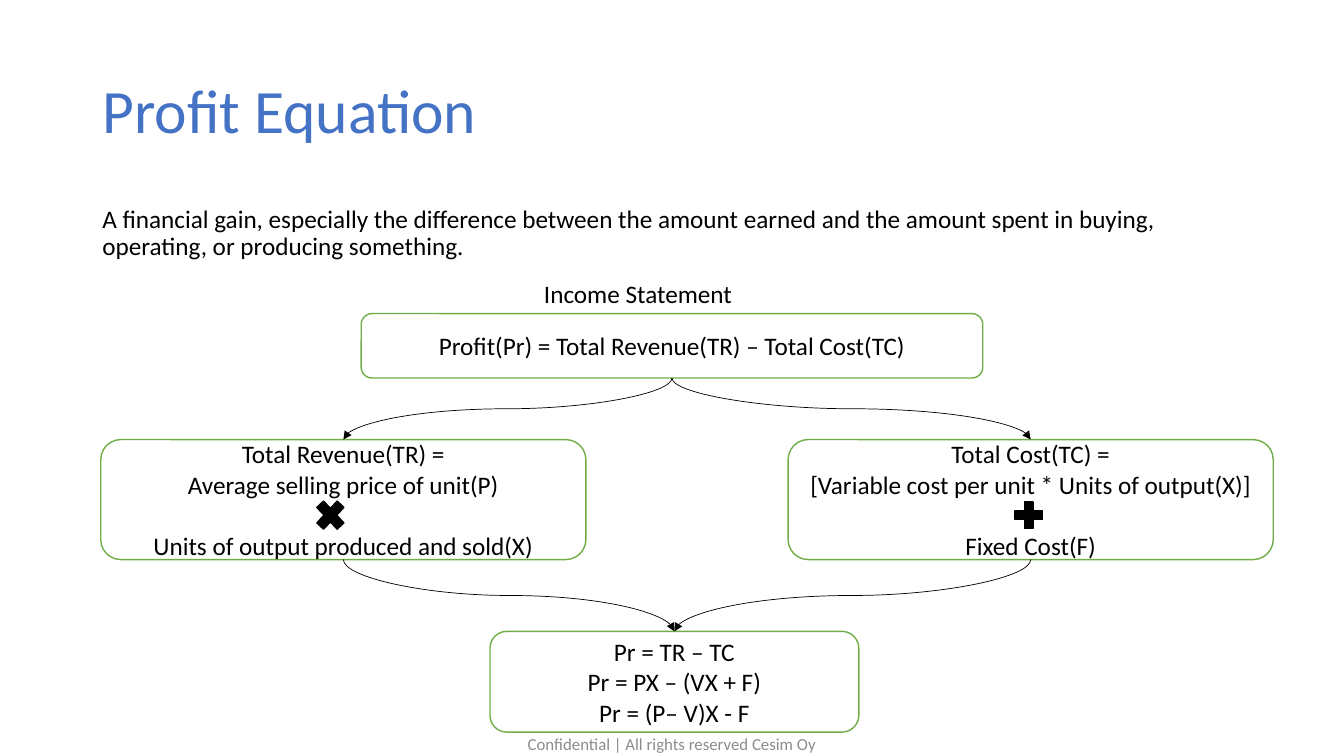
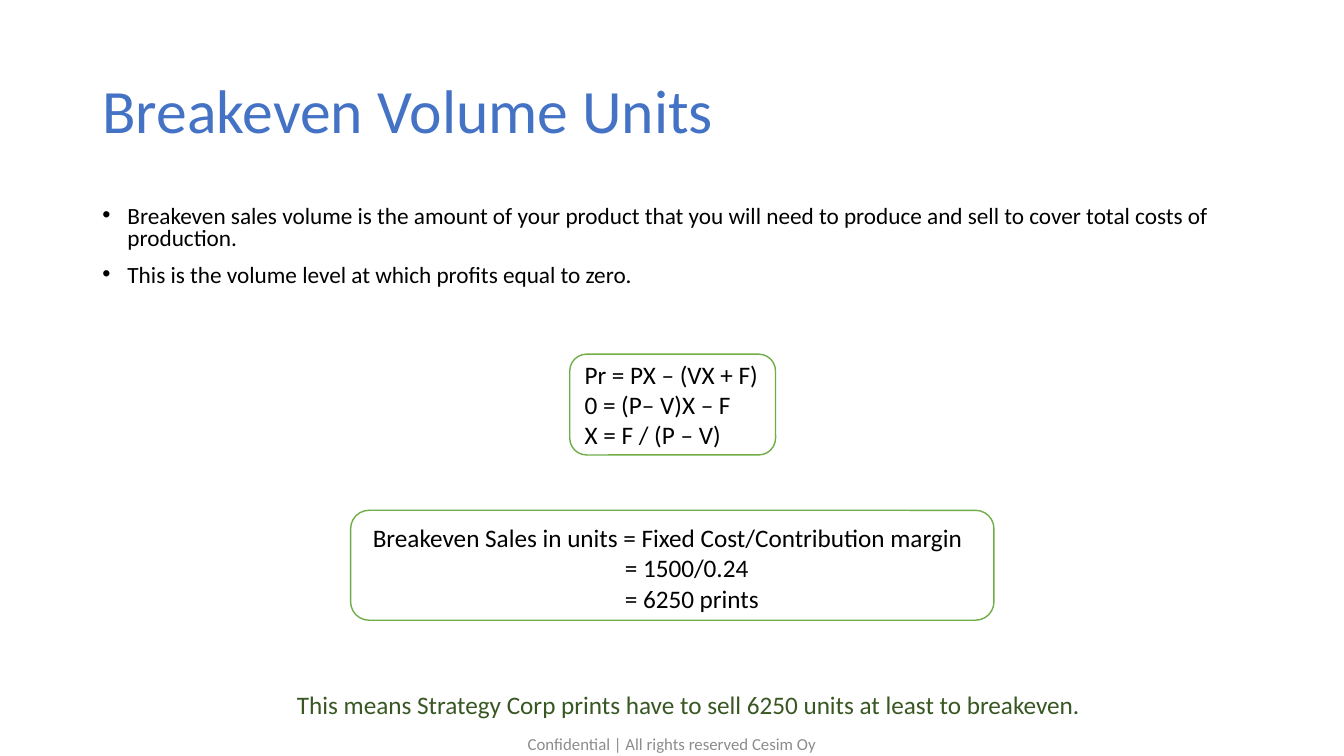
from lxml import etree
from pptx import Presentation
from pptx.dml.color import RGBColor
from pptx.enum import shapes, text
from pptx.oxml.ns import qn
from pptx.util import Pt

HEX = {"title": "4472C4", "text": "000000", "edge": "70AD47",
       "fill": "FFFFFF", "foot": "8C8C8C", "note": "385723"}
FONT = "Calibri"
KIND = shapes.MSO_SHAPE
LEFT, MID = text.PP_ALIGN.LEFT, text.PP_ALIGN.CENTER
TOP, HALF = text.MSO_ANCHOR.TOP, text.MSO_ANCHOR.MIDDLE

FOOT = "Confidential | All rights reserved Cesim Oy"
TITLE_AT = (66, 28.8, 828, 104.4)
FOOT_AT = (318, 522, 324, 18)

GAIN = ["A financial gain, especially the difference between the amount earned "
        "and the amount spent in buying, operating, or producing something."]
FLOW = {
    "profit": ((258, 224, 444, 46),
               ["Profit(Pr) = Total Revenue(TR) – Total Cost(TC)"]),
    "revenue": ((72, 314, 346.5, 85.7),
                ["Total Revenue(TR) =", "Average selling price of unit(P)",
                 "Units of output produced and sold(X)"]),
    "cost": ((563, 314, 346.5, 85.7),
             ["Total Cost(TC) =", "[Variable cost per unit * Units of output(X)]",
              "Fixed Cost(F)"]),
    "result": ((350, 451, 263.5, 72),
               ["Pr = TR – TC", "Pr = PX – (VX + F)", "Pr = (P– V)X - F"]),
}
LINKS = [("profit", "revenue"), ("profit", "cost"),
         ("revenue", "result"), ("cost", "result")]
SIGNS = [(KIND.MATH_MULTIPLY, (222, 353, 28, 30)),
         (KIND.MATH_PLUS, (721.5, 355, 26.5, 26))]
SIGN_GAP = 22

POINTS = ["Breakeven sales volume is the amount of your product that you will "
          "need to produce and sell to cover total costs of production.",
          "This is the volume level at which profits equal to zero."]
SOLVE = ["Pr = PX – (VX + F)", "0 = (P– V)X – F", "X = F / (P – V)"]
SALES = ["Breakeven Sales in units = Fixed Cost/Contribution margin",
         "= 1500/0.24", "= 6250 prints"]
NOTE = ["This means Strategy Corp prints have to sell 6250 units at least to breakeven."]


def rgb(name):
    return RGBColor.from_string(HEX[name])


def write(shape, lines, size=18, color="text", align=LEFT, anchor=TOP, pitch=None):
    frame = shape.text_frame
    frame.text = "\n".join(lines)
    frame.word_wrap = True
    frame.vertical_anchor = anchor
    for para in frame.paragraphs:
        para.alignment = align
        para.line_spacing = pitch
        for run in para.runs:
            run.font.name = FONT
            run.font.size = Pt(size)
            run.font.color.rgb = rgb(color)
    return frame


def indent(para, left, first=0):
    prop = para._p.get_or_add_pPr()
    prop.set("marL", str(Pt(left)))
    prop.set("indent", str(Pt(first)))
    return prop


def label(slide, at, lines, **style):
    return write(slide.shapes.add_textbox(*map(Pt, at)), lines, **style)


def shape(slide, kind, at, fill, edge):
    item = slide.shapes.add_shape(kind, *map(Pt, at))
    item.shadow.inherit = False
    item.fill.solid()
    item.fill.fore_color.rgb = rgb(fill)
    item.line.color.rgb = rgb(edge)
    item.line.width = Pt(1)
    return item


def box(slide, at, lines, align=LEFT, anchor=HALF):
    item = shape(slide, KIND.ROUNDED_RECTANGLE, at, "fill", "edge")
    write(item, lines, align=align, anchor=anchor)
    return item


def curve(slide, start, end):
    """Join bottom of start to top of end with a curve that leaves downwards."""
    line = slide.shapes.add_connector(shapes.MSO_CONNECTOR.CURVE, 0, 0, 0, 0)
    line.begin_connect(start, 2)
    line.end_connect(end, 0)
    x, y = line.begin_x, line.begin_y
    dx, dy = line.end_x - x, line.end_y - y
    line.left = int(x + dx / 2 - dy / 2)
    line.top = int(y + dy / 2 - abs(dx) / 2)
    line.width, line.height = dy, abs(dx)
    prop = line._element.spPr
    form = prop.find(qn("a:xfrm"))
    form.set("rot", str((270 if dx > 0 else 90) * 60000))
    form.set("flipH", "1" if dx > 0 else "0")
    line.line.color.rgb = rgb("text")
    line.line.width = Pt(0.5)
    etree.SubElement(prop.find(qn("a:ln")), qn("a:tailEnd"), type="triangle")
    etree.SubElement(prop, qn("a:effectLst"))


def start(deck, title):
    slide = deck.slides.add_slide(deck.slide_layouts[5])
    head = slide.shapes.title
    head.left, head.top, head.width, head.height = map(Pt, TITLE_AT)
    write(head, [title], 44, "title", anchor=HALF, pitch=0.9)
    return slide


def finish(slide):
    label(slide, FOOT_AT, [FOOT], size=12, color="foot", align=MID, anchor=HALF)


def profit(deck):
    slide = start(deck, "Profit Equation")
    label(slide, (66, 144, 828, 51), GAIN, pitch=0.9)
    label(slide, (329, 195, 253.5, 29), ["Income Statement"], align=MID)
    boxes = {key: box(slide, at, lines, MID) for key, (at, lines) in FLOW.items()}
    for key in ("revenue", "cost"):
        boxes[key].text_frame.paragraphs[-1].space_before = Pt(SIGN_GAP)
    for kind, at in SIGNS:
        shape(slide, kind, at, "text", "text")
    for a, b in LINKS:
        curve(slide, boxes[a], boxes[b])
    finish(slide)


def volume(deck):
    slide = start(deck, "Breakeven Volume Units")
    body = label(slide, (66, 144, 828, 68), POINTS, size=16.6, pitch=0.8)
    for para in body.paragraphs:
        prop = indent(para, 18, -18)
        etree.SubElement(prop, qn("a:buFont"), typeface="Arial")
        etree.SubElement(prop, qn("a:buChar"), char="•")
    body.paragraphs[1].space_before = Pt(10)
    box(slide, (407, 253, 147, 72), SOLVE)
    sales = box(slide, (250.5, 364.5, 459.5, 78.5), SALES, anchor=TOP).text_frame
    sales.margin_left, sales.margin_top, sales.margin_bottom = Pt(12), Pt(4.8), 0
    for para in sales.paragraphs[1:]:
        indent(para, 180)
    label(slide, (205, 489, 577, 29), NOTE, color="note")
    finish(slide)


def main():
    deck = Presentation()
    deck.slide_width, deck.slide_height = Pt(960), Pt(540)
    profit(deck)
    volume(deck)
    deck.save("out.pptx")


if __name__ == "__main__":
    main()
